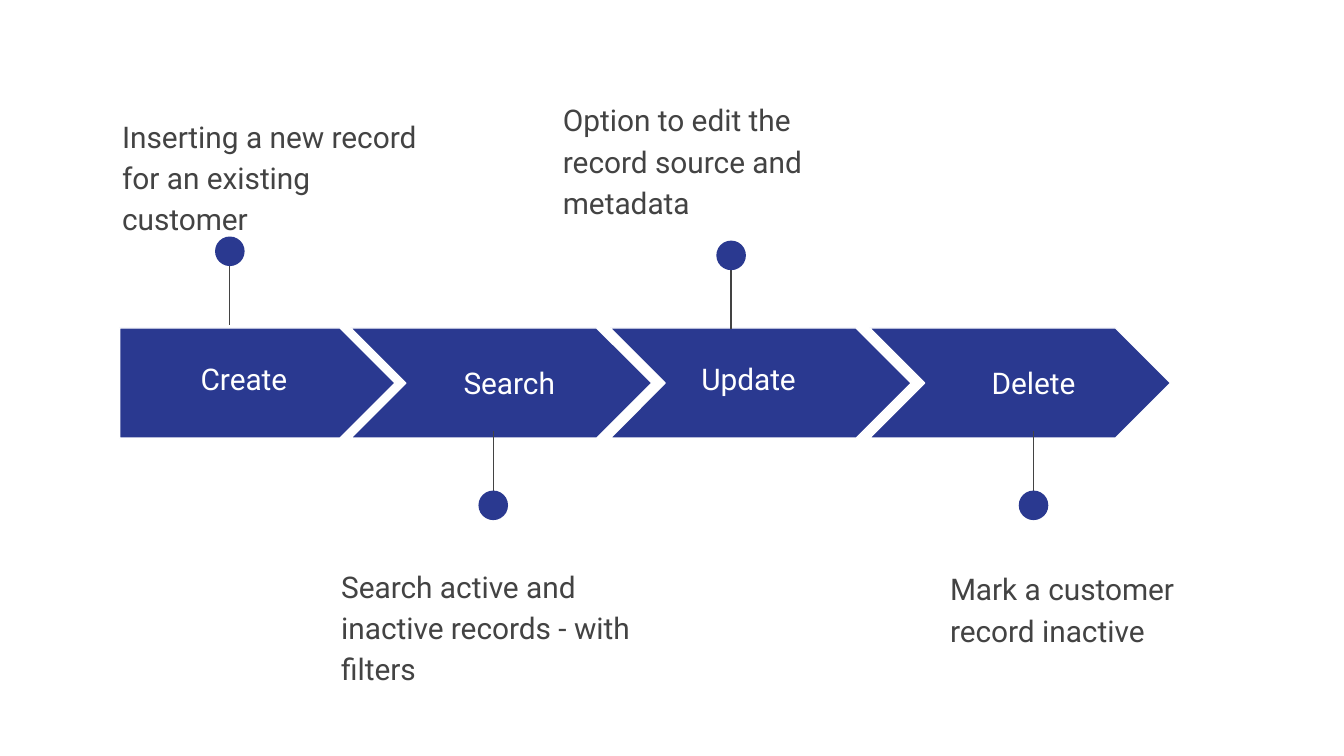
from pptx import Presentation, util as u
from pptx.dml.color import RGBColor
from pptx.enum import shapes, text
from pptx.oxml.ns import qn
from lxml import etree

BLUE, GREY, WHITE = "2A3990", "434343", "FFFFFF"
SLIDE_WIDTH = 10
SLIDE_HEIGHT = SLIDE_WIDTH * 9 / 16
BAND_LEFT, BAND_TOP, BAND_HEIGHT = 0.89, 2.44, 0.82
CHEVRON_LEFT, CHEVRON_WIDTH, STEP = 2.61, 2.24, 1.93
DOT = 0.22


def rgb(value):
    return RGBColor.from_string(value)


def inches(*values):
    return [u.Inches(v) for v in values]


def add_filled(parent, kind, box, line=None):
    sp = parent.add_shape(kind, *inches(*box))
    sp.shadow.inherit = False
    sp.fill.solid()
    sp.fill.fore_color.rgb = rgb(BLUE)
    if line:
        sp.line.color.rgb = rgb(line)
        sp.line.width = u.Pt(0.75)
    else:
        sp.line.fill.background()
    return sp


def add_text(s, box, words, color, centred=False):
    tf = s.shapes.add_textbox(*inches(*box)).text_frame
    tf.word_wrap = True
    tf.margin_left = tf.margin_right = tf.margin_top = tf.margin_bottom = u.Inches(0.1)
    p = tf.paragraphs[0]
    p.text = words
    p.font.name, p.font.size = "Roboto", u.Pt(16)
    p.font.color.rgb = rgb(color)
    if centred:
        tf.vertical_anchor = text.MSO_ANCHOR.MIDDLE
        p.alignment = text.PP_ALIGN.CENTER
    else:
        p.line_spacing = 1.15
        p.space_after = u.Pt(16)


def add_pin(s, box, upward):
    left, top, width, height = box
    middle, bottom = left + width / 2, top + height
    inset = width / 5
    start, end = (top + inset, bottom) if upward else (bottom - inset, top)
    group = s.shapes.add_group_shape().shapes
    stem = group.add_connector(shapes.MSO_CONNECTOR.STRAIGHT, *inches(middle, start, middle, end))
    stem.line.color.rgb = rgb(GREY)
    stem.line.width = u.Pt(0.75)
    etree.SubElement(stem._element.spPr, qn("a:effectLst"))
    dot_top = top if upward else bottom - width
    add_filled(group, shapes.MSO_SHAPE.OVAL, (left, dot_top, width, width))


def add_stage(s, box, kind, name, label, pin, note, words, upward):
    left, top, width, height = box
    arrow = add_filled(s.shapes, kind, box, WHITE)
    arrow.adjustments[0] = 0.5
    label_left, label_top, label_width = label
    add_text(s, (left + label_left, top + label_top, label_width, 0.51), name, WHITE, True)
    pin_left, pin_top = pin
    add_pin(s, (left + pin_left, top + pin_top, DOT, 0.66), upward)
    note_left, note_top = note
    add_text(s, (left + note_left, top + note_top, 2.45, 0.99), words, GREY)


def main():
    prs = Presentation()
    prs.slide_width, prs.slide_height = inches(SLIDE_WIDTH, SLIDE_HEIGHT)
    s = prs.slides.add_slide(prs.slide_layouts[6])
    stages = [
        ("Create", (0.13, 0.12, 1.59), (0.71, -0.68), (-0.08, -1.7),
         "Inserting a new record for an existing customer"),
        ("Search", (0.46, 0.15, 1.44), (0.95, 0.77), (-0.17, 1.65),
         "Search active and inactive records - with filters"),
        ("Update", (0.31, 0.12, 1.44), (0.79, -0.65), (-0.45, -1.82),
         "Option to edit the record source and metadata"),
        ("Delete", (0.5, 0.15, 1.44), (1.11, 0.77), (0.5, 1.67),
         "Mark a customer record inactive"),
    ]
    for i, (name, label, pin, note, words) in enumerate(stages):
        if i == 0:
            kind, left, width = shapes.MSO_SHAPE.PENTAGON, BAND_LEFT, 2.05
        else:
            kind, width = shapes.MSO_SHAPE.CHEVRON, CHEVRON_WIDTH
            left = CHEVRON_LEFT + (i - 1) * STEP
        box = (left, BAND_TOP, width, BAND_HEIGHT)
        add_stage(s, box, kind, name, label, pin, note, words, i % 2 == 0)
    prs.save("out.pptx")


if __name__ == "__main__":
    main()
